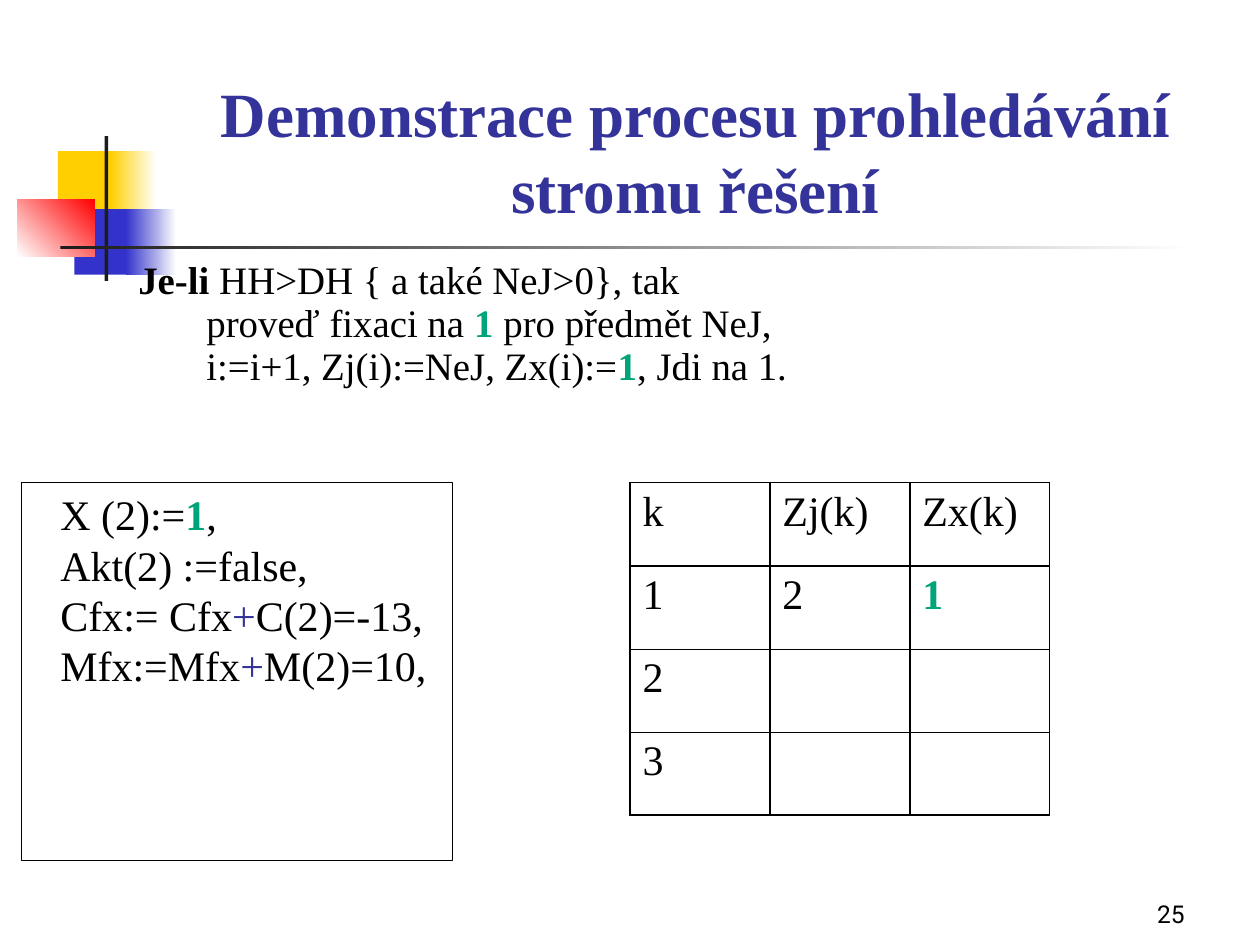
import pptx
import pptx.util
import pptx.dml.color
import pptx.enum.shapes
import pptx.enum.text
import pptx.oxml
import pptx.oxml.ns

Inches = pptx.util.Inches
Pt = pptx.util.Pt
ALIGN = pptx.enum.text.PP_ALIGN
ANCHOR = pptx.enum.text.MSO_ANCHOR
SERIF = "Times New Roman"
BLACK, NAVY, GREEN = "000000", "333399", "00A479"
ONE = ("1", GREEN, True)
PLUS = ("+", NAVY, False)


def color(value):
    return pptx.dml.color.RGBColor.from_string(value)


def add_rect(slide, box, fill=None, fade=None, angle=0, line=None):
    sp = slide.shapes.add_shape(
        pptx.enum.shapes.MSO_SHAPE.RECTANGLE, *map(Inches, box))
    sp.shadow.inherit = False
    if fade:
        sp.fill.gradient()
        sp.fill.gradient_angle = angle
        for stop, value in zip(sp.fill.gradient_stops, (fill, fade)):
            stop.color.rgb = color(value)
    elif fill:
        sp.fill.solid()
        sp.fill.fore_color.rgb = color(fill)
    else:
        sp.fill.background()
    if line:
        sp.line.color.rgb = color(line)
        sp.line.width = Pt(0.75)
    else:
        sp.line.fill.background()
    return sp


def write_paragraph(p, runs, size, font=SERIF, c=BLACK, bold=False,
                    align=ALIGN.LEFT):
    p.alignment = align
    p.font.size = Pt(size)
    p.font.name = font
    p.font.bold = bold
    p.font.color.rgb = color(c)
    for run in runs:
        text, *style = (run,) if isinstance(run, str) else run
        r = p.add_run()
        r.text = text
        if style:
            r.font.color.rgb = color(style[0])
            r.font.bold = style[1]


def write_lines(sp, lines, size, anchor=ANCHOR.TOP, indents=(), spacing=None,
                before=0, **style):
    tf = sp.text_frame
    tf.word_wrap = True
    tf.vertical_anchor = anchor
    for i, runs in enumerate(lines):
        p = tf.add_paragraph() if i else tf.paragraphs[0]
        if indents:
            p._p.get_or_add_pPr().set("marL", str(Inches(indents[i])))
        if spacing:
            p.line_spacing = spacing
        if before and i:
            p.space_before = Pt(before)
        write_paragraph(p, runs, size, **style)


def add_text(slide, box, lines, size, **style):
    sp = slide.shapes.add_textbox(*map(Inches, box))
    write_lines(sp, lines, size, **style)


def set_border(cell, side, width):
    tcPr = cell._tc.get_or_add_tcPr()
    tcPr.append(pptx.oxml.parse_xml(
        f'<a:{side} {pptx.oxml.ns.nsdecls("a")} w="{Pt(width)}">'
        f'<a:solidFill><a:srgbClr val="{BLACK}"/></a:solidFill></a:{side}>'))


def add_grid(slide, box, rows):
    frame = slide.shapes.add_table(len(rows), len(rows[0]), *map(Inches, box))
    table = frame.table
    table.first_row = table.horz_banding = False
    thick, thin = 1.08, 0.45
    edges = [thick, thick] + [thin] * (len(rows) - 2) + [thick]
    for i, row in enumerate(rows):
        for j, text in enumerate(row):
            cell = table.cell(i, j)
            widths = {"lnL": thick, "lnR": thick,
                      "lnT": edges[i], "lnB": edges[i + 1]}
            for side, width in widths.items():
                set_border(cell, side, width)
            cell.fill.background()
            write_paragraph(cell.text_frame.paragraphs[0],
                            [text] if text else [], 24)


def add_decoration(slide):
    add_rect(slide, (0.46, 1.2, 0.48, 0.52), "FFCF01")
    add_rect(slide, (0.88, 1.2, 0.36, 0.52), "FFCF01", "FFFFFF")
    add_rect(slide, (0.59, 1.66, 0.46, 0.52), "3333CC")
    add_rect(slide, (1, 1.66, 0.4, 0.52), "3333CC", "FFFFFF")
    add_rect(slide, (0.14, 1.58, 0.61, 0.46), "FFFFFF", "FF0000", 45)
    add_rect(slide, (0.83, 1.08, 0.03, 1.15), "1C1C1C")
    add_rect(slide, (0.48, 1.95, 9, 0.03), "1C1C1C", "FFFFFF")


def main():
    prs = pptx.Presentation()
    prs.slide_width, prs.slide_height = Inches(10), Inches(7.5)
    slide = prs.slides.add_slide(prs.slide_layouts[6])
    add_decoration(slide)
    add_text(slide, (7.42, 6.92, 2.08, 0.5), [["25"]], 14,
             anchor=ANCHOR.BOTTOM, font="Roboto", align=ALIGN.RIGHT)
    add_text(slide, (1.26, 0.42, 8.52, 1.42),
             [["Demonstrace procesu prohledávání stromu řešení"]], 36,
             anchor=ANCHOR.BOTTOM, c=NAVY, bold=True, align=ALIGN.CENTER)
    add_text(slide, (0.25, 2.08, 9.5, 1.42), [
        [("Je-li", BLACK, True), " HH>DH { a také NeJ>0}, tak"],
        ["proveď fixaci na ", ONE, " pro předmět NeJ,"],
        ["i:=i+1, Zj(i):=NeJ, Zx(i):=", ONE, ", Jdi na 1."],
    ], 22.2, indents=(0.75, 1.29, 1.29), spacing=0.7, before=6)
    code = add_rect(slide, (0.17, 3.83, 3.42, 3), line=BLACK)
    write_lines(code, [
        ["X (2):=", ONE, ","],
        ["Akt(2) :=false,"],
        ["Cfx:= Cfx", PLUS, "C(2)=-13,"],
        ["Mfx:=Mfx", PLUS, "M(2)=10,"],
    ], 24, indents=(0.21,) * 4)
    add_grid(slide, (5, 3.83, 3.33, 2.64), [
        ["k", "Zj(k)", "Zx(k)"],
        ["1", "2", ONE],
        ["2", "", ""],
        ["3", "", ""],
    ])
    prs.save("out.pptx")


if __name__ == "__main__":
    main()
